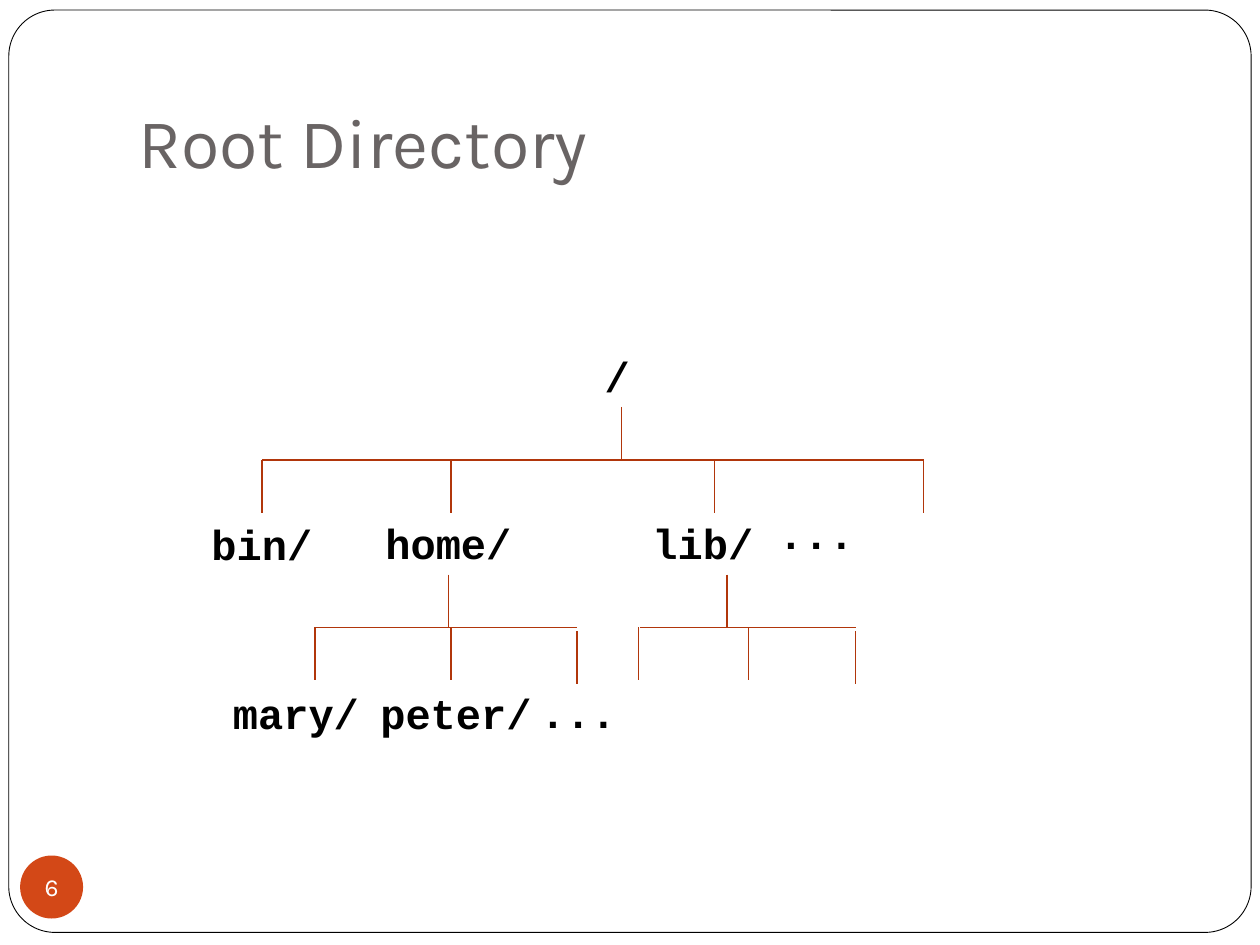
from dataclasses import dataclass

import pptx
import pptx.dml.color
import pptx.enum.shapes
import pptx.enum.text
import pptx.oxml.ns
import pptx.util
from lxml import etree
from pptx.util import Inches

ANCHOR = pptx.enum.text.MSO_ANCHOR
ALIGN = pptx.enum.text.PP_ALIGN
SHAPE = pptx.enum.shapes.MSO_SHAPE


@dataclass(frozen=True)
class Theme:
    heading_font: str = "Karla"
    code_font: str = "Courier New"
    title_size: float = 40
    node_size: float = 24
    number_size: float = 14
    title: str = "696464"
    ink: str = "000000"
    paper: str = "FFFFFF"
    accent: str = "D34817"
    branch: str = "B1360B"
    frame_width: float = 0.5
    branch_width: float = 0.75


@dataclass(frozen=True)
class Node:
    text: str
    left: float
    top: float
    width: float


@dataclass(frozen=True)
class Branch:
    """A stem down to a bar, with a drop from the bar to each child."""
    stem: float
    bar_y: float
    bar: tuple[float, float]
    drops: tuple[float, ...]
    last_offset: float = 0


THEME = Theme()
NODE_HEIGHT = 0.5
DROP = 0.42

NODES = (
    Node("/", 4.7, 2.73, 0.4),
    Node("bin/", 1.58, 4.07, 1.01),
    Node("home/", 2.96, 4.06, 1.21),
    Node("lib/", 5.08, 4.06, 1.01),
    Node("...", 6.08, 3.98, 0.81),
    Node("mary/", 1.75, 5.41, 1.21),
    Node("peter/", 2.92, 5.41, 1.41),
    Node("...", 4.19, 5.4, 0.81),
)
BRANCHES = (
    Branch(4.93, 3.65, (2.08, 7.33), (2.08, 3.58, 5.67, 7.33)),
    Branch(3.56, 4.98, (2.5, 4.58), (2.5, 3.58, 4.58), 0.03),
    Branch(5.77, 4.98, (5.08, 6.79), (5.07, 5.94, 6.79), 0.03),
)


def rgb(value: str) -> pptx.dml.color.RGBColor:
    return pptx.dml.color.RGBColor.from_string(value)


def write_text(sp, text: str, *, font: str, size: float, color: str,
               bold: bool = False, wrap: bool = False, grow: bool = False,
               align=ALIGN.LEFT, anchor=ANCHOR.TOP,
               insets: tuple[float, ...] = (0.1, 0.05, 0.1, 0.05)) -> None:
    tf = sp.text_frame
    tf.word_wrap = wrap
    fit = pptx.enum.text.MSO_AUTO_SIZE
    tf.auto_size = fit.SHAPE_TO_FIT_TEXT if grow else fit.NONE
    tf.vertical_anchor = anchor
    tf.margin_left, tf.margin_top, tf.margin_right, tf.margin_bottom = map(Inches, insets)
    p = tf.paragraphs[0]
    p.alignment = align
    r = p.add_run()
    r.text = text
    r.font.name = font
    r.font.size = pptx.util.Pt(size)
    r.font.bold = bold
    r.font.color.rgb = rgb(color)


def add_box(s, left: float, top: float, width: float, height: float):
    return s.shapes.add_textbox(*map(Inches, (left, top, width, height)))


def add_filled(s, kind, box: tuple[float, ...], fill: str):
    sp = s.shapes.add_shape(kind, *map(Inches, box))
    sp.shadow.inherit = False
    sp.fill.solid()
    sp.fill.fore_color.rgb = rgb(fill)
    sp.line.fill.background()
    return sp


def add_line(s, x1: float, y1: float, x2: float, y2: float) -> None:
    line = s.shapes.add_connector(pptx.enum.shapes.MSO_CONNECTOR.STRAIGHT,
                                  *map(Inches, (x1, y1, x2, y2)))
    line.line.color.rgb = rgb(THEME.branch)
    line.line.width = pptx.util.Pt(THEME.branch_width)
    etree.SubElement(line._element.spPr, pptx.oxml.ns.qn("a:effectLst"))


def add_branch(s, branch: Branch) -> None:
    y = branch.bar_y
    add_line(s, branch.stem, y - DROP, branch.stem, y)
    add_line(s, branch.bar[0], y, branch.bar[1], y)
    for x in branch.drops:
        top = y + (branch.last_offset if x == branch.drops[-1] else 0)
        add_line(s, x, top, x, top + DROP)


def add_node(s, node: Node) -> None:
    sp = add_box(s, node.left, node.top, node.width, NODE_HEIGHT)
    write_text(sp, node.text, font=THEME.code_font, size=THEME.node_size,
               color=THEME.ink, bold=True, grow=True)


def add_frame(s) -> None:
    sp = add_filled(s, SHAPE.ROUNDED_RECTANGLE, (0.07, 0.08, 9.86, 7.32), THEME.paper)
    sp.adjustments[0] = 0.05
    sp.line.color.rgb = rgb(THEME.ink)
    sp.line.width = pptx.util.Pt(THEME.frame_width)


def main() -> None:
    prs = pptx.Presentation()
    prs.slide_width, prs.slide_height = Inches(10), Inches(7.5)
    s = prs.slides.add_slide(prs.slide_layouts[6])

    add_frame(s)
    write_text(add_box(s, 1, 0.3, 8.5, 1.25), "Root Directory",
               font=THEME.heading_font, size=THEME.title_size, color=THEME.title,
               wrap=True, anchor=ANCHOR.BOTTOM, insets=(0.1, 0.05, 0.1, 0.1))
    badge = add_filled(s, SHAPE.OVAL, (0.16, 6.79, 0.5, 0.5), THEME.accent)
    write_text(badge, "6", font=THEME.heading_font, size=THEME.number_size,
               color=THEME.paper, align=ALIGN.CENTER, anchor=ANCHOR.MIDDLE,
               insets=(0, 0, 0, 0))
    for branch in BRANCHES:
        add_branch(s, branch)
    for node in NODES:
        add_node(s, node)

    prs.save("out.pptx")


if __name__ == "__main__":
    main()
